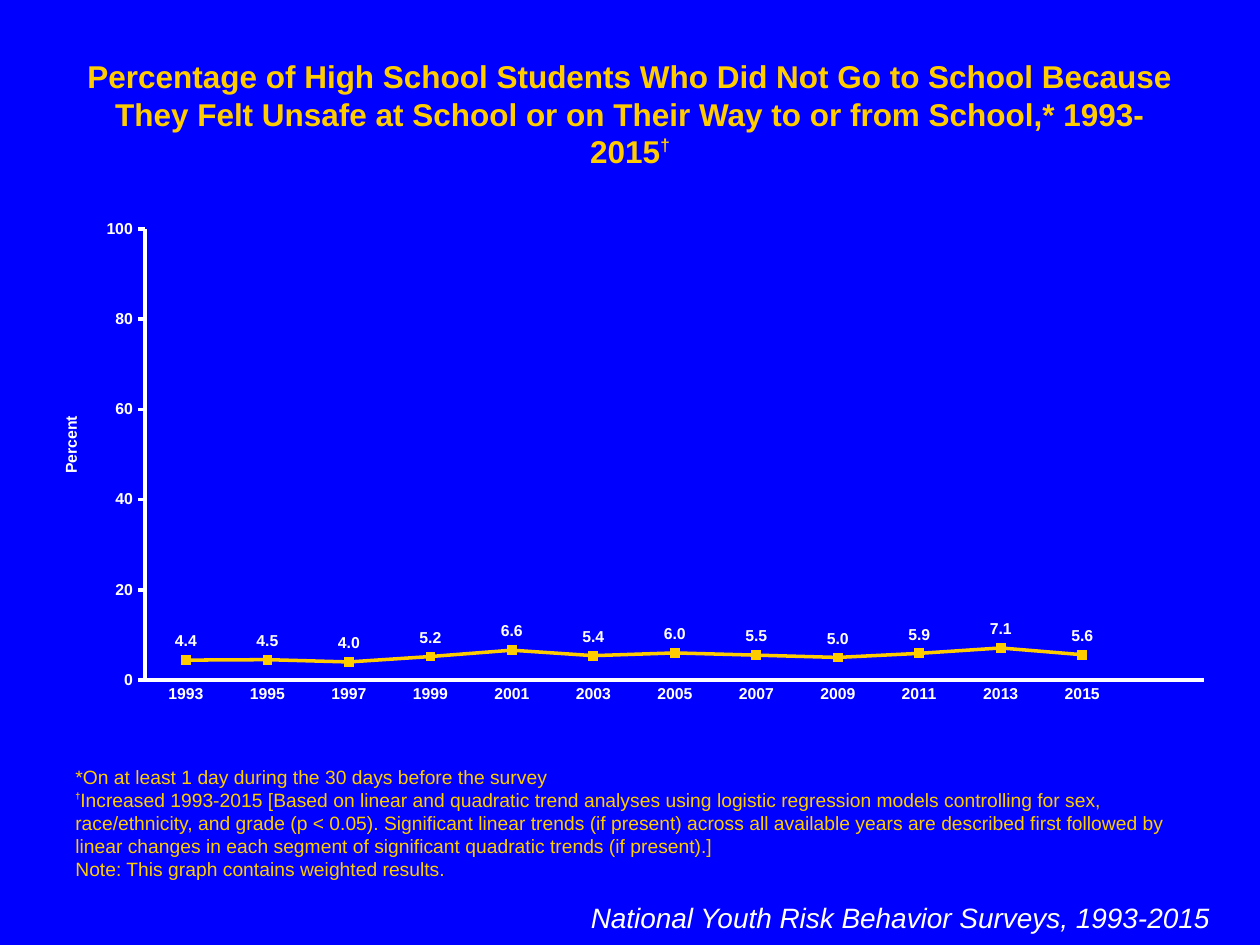
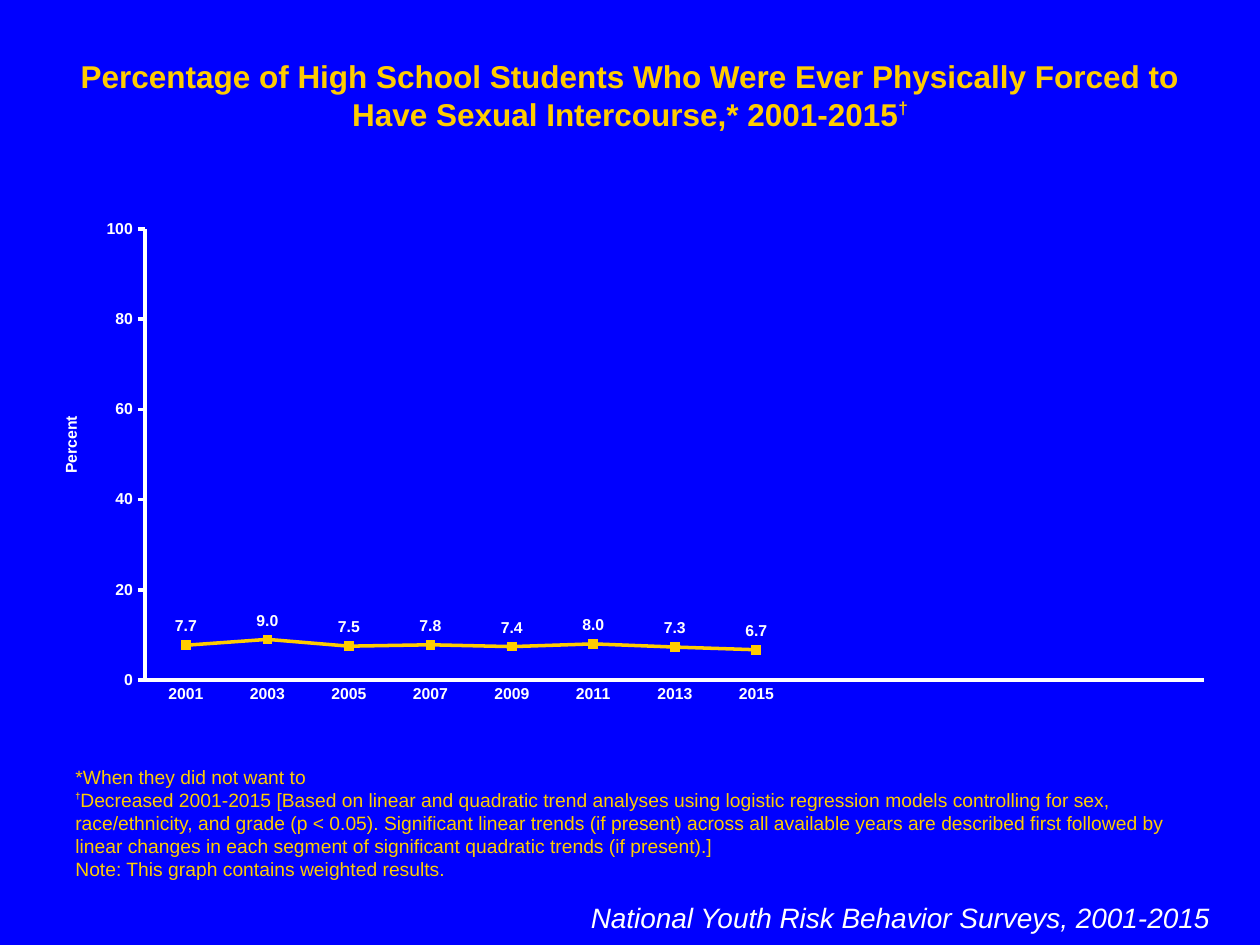
from lxml import etree
from pptx import Presentation
from pptx.chart.data import CategoryChartData
from pptx.dml.color import RGBColor
from pptx.enum.chart import XL_CHART_TYPE, XL_LABEL_POSITION, XL_MARKER_STYLE, XL_TICK_MARK
from pptx.enum.text import MSO_ANCHOR, PP_ALIGN
from pptx.oxml.ns import qn
from pptx.util import Inches, Pt

BLUE = RGBColor(0x00, 0x00, 0xFF)
GOLD = RGBColor(0xFF, 0xCC, 0x00)
WHITE = RGBColor(0xFF, 0xFF, 0xFF)
FONT = "Arial"

LINE_MARKERS = XL_CHART_TYPE.LINE_MARKERS
LABEL_ABOVE = XL_LABEL_POSITION.ABOVE
SQUARE = XL_MARKER_STYLE.SQUARE
TICK_NONE, TICK_OUTSIDE = XL_TICK_MARK.NONE, XL_TICK_MARK.OUTSIDE
TOP, BOTTOM = MSO_ANCHOR.TOP, MSO_ANCHOR.BOTTOM
LEFT, CENTER, RIGHT = PP_ALIGN.LEFT, PP_ALIGN.CENTER, PP_ALIGN.RIGHT

COLUMNS, ROWS = 20, 15
YEAR_SLOTS = 13
TITLE_ONLY = 5
METHOD = (
    "[Based on linear and quadratic trend analyses using logistic regression models "
    "controlling for sex, race/ethnicity, and grade (p < 0.05). Significant linear trends "
    "(if present) across all available years are described first followed by linear changes "
    "in each segment of significant quadratic trends (if present).]"
)
WEIGHT_NOTE = "Note: This graph contains weighted results."

SURVEYS = [
    dict(
        question="Who Did Not Go to School Because They Felt Unsafe at School "
                 "or on Their Way to or from School",
        condition="On at least 1 day during the 30 days before the survey",
        trend="Increased",
        first_year=1993,
        percents=(4.4, 4.5, 4.0, 5.2, 6.6, 5.4, 6.0, 5.5, 5.0, 5.9, 7.1, 5.6),
    ),
    dict(
        question="Who Were Ever Physically Forced to Have Sexual Intercourse",
        condition="When they did not want to",
        trend="Decreased",
        first_year=2001,
        percents=(7.7, 9.0, 7.5, 7.8, 7.4, 8.0, 7.3, 6.7),
    ),
]


def style_font(font, size, color, bold=False, italic=False):
    font.name, font.size = FONT, Pt(size)
    font.bold, font.italic = bold, italic
    font.color.rgb = color


def add_span(para, text, size=11, color=GOLD, bold=False, italic=False, raised=0):
    """Append a run; raised is the superscript offset in percent."""
    span = para.add_run()
    span.text = text
    style_font(span.font, size, color, bold, italic)
    if raised:
        span.font._element.set("baseline", str(raised * 1000))


def set_layout(element, index, **values):
    """Give a chart element a manual layout, in shares of the chart."""
    for old in element.findall(qn("c:layout")):
        element.remove(old)
    layout = etree.Element(qn("c:layout"))
    manual = etree.SubElement(layout, qn("c:manualLayout"))
    for name, value in values.items():
        etree.SubElement(manual, qn("c:" + name)).set("val", str(value))
    element.insert(index, layout)


class SurveyDeck:
    def __init__(self):
        self.deck = Presentation()
        self.deck.slide_width, self.deck.slide_height = Inches(10), Inches(7.5)
        background = self.deck.slide_master.background.fill
        background.solid()
        background.fore_color.rgb = BLUE
        self.page = None

    def area(self, column, row, columns, rows):
        across = self.deck.slide_width / COLUMNS
        down = self.deck.slide_height / ROWS
        return (int(column * across), int(row * down),
                int(columns * across), int(rows * down))

    def add_page(self):
        layout = self.deck.slide_layouts[TITLE_ONLY]
        self.page = self.deck.slides.add_slide(layout)

    def fill_text(self, box, paragraphs, align=LEFT, anchor=TOP):
        """Fill a box; each paragraph is a list of (text, format) pairs."""
        frame = box.text_frame
        frame.word_wrap = True
        frame.vertical_anchor = anchor
        for number, spans in enumerate(paragraphs):
            para = frame.add_paragraph() if number else frame.paragraphs[0]
            para.alignment = align
            for text, style in spans:
                add_span(para, text, **style)

    def title(self, text):
        box = self.page.shapes.title
        box.left, box.top, box.width, box.height = self.area(1, 0.8, 18, 2.2)
        self.fill_text(box, [[(text, dict(size=18, bold=True)),
                              ("†", dict(size=17, bold=True, raised=40))]], CENTER)

    def footnotes(self, condition, finding):
        box = self.page.shapes.add_textbox(*self.area(1, 12.04, 18, 2.04))
        self.fill_text(box, [
            [("*" + condition, {})],
            [("†", dict(size=9, bold=True, raised=50)), (finding, {})],
            [(WEIGHT_NOTE, {})],
        ], anchor=BOTTOM)

    def source(self, text):
        box = self.page.shapes.add_textbox(*self.area(9.06, 14.2, 10.34, 0.74))
        self.fill_text(box, [[(text, dict(size=16, color=WHITE, italic=True))]], RIGHT)

    def trend_chart(self, years, percents):
        spare = YEAR_SLOTS - len(years)
        data = CategoryChartData()
        data.categories = [str(year) for year in years] + [""] * spare
        data.add_series("Series 1", list(percents) + [None] * spare)
        chart = self.page.shapes.add_chart(
            LINE_MARKERS, *self.area(0.5, 3.34, 19, 8), data).chart
        chart.has_legend = chart.has_title = False
        style_font(chart.font, 9, WHITE, bold=True)
        self.style_axes(chart)
        self.style_series(chart.plots[0])
        plot_area = chart.element.find(qn("c:chart")).find(qn("c:plotArea"))
        set_layout(plot_area, 0, layoutTarget="inner", xMode="edge", yMode="edge",
                   x=0.095, y=0.037, w=0.885, h=0.895)

    def style_axes(self, chart):
        for axis, tick in ((chart.category_axis, TICK_NONE), (chart.value_axis, TICK_OUTSIDE)):
            axis.has_major_gridlines = False
            axis.major_tick_mark, axis.minor_tick_mark = tick, TICK_NONE
            axis.format.line.color.rgb = WHITE
            axis.format.line.width = Pt(2)
            style_font(axis.tick_labels.font, 9, WHITE, bold=True)
        percent = chart.value_axis
        percent.minimum_scale, percent.maximum_scale, percent.major_unit = 0, 100, 20
        percent.tick_labels.number_format = "#,##0"
        percent.tick_labels.number_format_is_linked = False
        para = percent.axis_title.text_frame.paragraphs[0]
        add_span(para, "Percent", size=9, color=WHITE, bold=True)
        set_layout(percent.axis_title.element, 1, xMode="edge", yMode="edge", x=0.022, y=0.402)

    def style_series(self, plot):
        plot.vary_by_categories = False
        series = plot.series[0]
        series.smooth = False
        series.format.line.color.rgb = GOLD
        series.format.line.width = Pt(2)
        marker = series.marker
        marker.style, marker.size = SQUARE, 5
        marker.format.fill.solid()
        marker.format.fill.fore_color.rgb = GOLD
        marker.format.line.color.rgb = GOLD
        labels = series.data_labels
        labels.show_value = True
        labels.position = LABEL_ABOVE
        labels.number_format = "#,##0.0"
        labels.number_format_is_linked = False
        style_font(labels.font, 9, WHITE, bold=True)

    def survey_page(self, question, condition, trend, first_year, percents):
        years = range(first_year, first_year + 2 * len(percents), 2)
        period = f"{years[0]}-{years[-1]}"
        self.add_page()
        self.title(f"Percentage of High School Students {question},* {period}")
        self.footnotes(condition, f"{trend} {period} {METHOD}")
        self.source(f"National Youth Risk Behavior Surveys, {period}")
        self.trend_chart(years, percents)


def main():
    surveys = SurveyDeck()
    for survey in SURVEYS:
        surveys.survey_page(**survey)
    surveys.deck.save("out.pptx")


if __name__ == "__main__":
    main()
